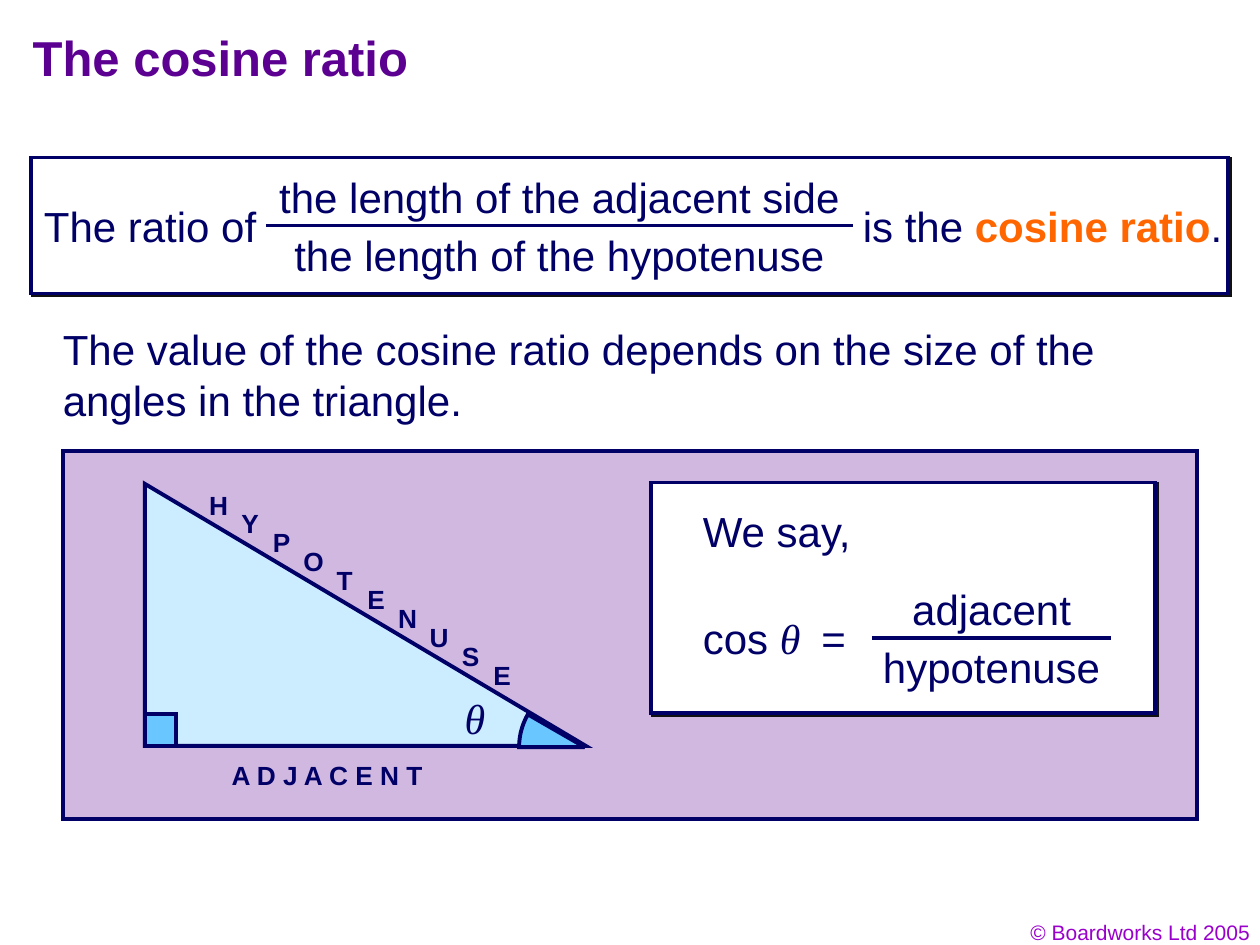
from math import cos, radians, sin

from lxml import etree
from pptx import Presentation
from pptx.dml.color import RGBColor
from pptx.enum.shapes import MSO_CONNECTOR, MSO_SHAPE
from pptx.enum.text import MSO_ANCHOR, PP_ALIGN
from pptx.oxml.ns import qn
from pptx.util import Inches, Pt

LEFT, CENTER, RIGHT = PP_ALIGN.LEFT, PP_ALIGN.CENTER, PP_ALIGN.RIGHT
MIDDLE = MSO_ANCHOR.MIDDLE
STRAIGHT = MSO_CONNECTOR.STRAIGHT
RECT, TRIANGLE = MSO_SHAPE.RECTANGLE, MSO_SHAPE.RIGHT_TRIANGLE
COLORS = {
    "title": "5B0091", "text": "010066", "line": "000066", "key": "FF6600",
    "credit": "9900CC", "white": "FFFFFF", "panel": "D0B8E0",
    "triangle": "CCECFF", "angle": "69C6FF", "shadow": "111111",
}
SERIF = "Times New Roman"

# Content
TITLE = "The cosine ratio"
CREDIT = "© Boardworks Ltd 2005"
RATIO_START = "The ratio of"
RATIO_END = [("is the ", {}), ("cosine ratio", {"color": "key", "bold": True}), (".", {})]
EXPLANATION = ("The value of the cosine ratio depends on the size of the "
               "angles in the triangle.")
THETA = {"font": SERIF, "italic": True}
FORMULA = [("cos ", {}), ("θ  ", THETA), ("=", {})]
# numerator, denominator, bar left, bar right, bar y
FRACTIONS = {
    "words": ("the length of the adjacent side", "the length of the hypotenuse",
              2.11, 6.77, 1.79),
    "formula": ("adjacent", "hypotenuse", 6.92, 8.82, 5.06),
}
HYPOTENUSE = "HYPOTENUSE"
FIRST_LETTER = (1.56, 3.83)
LETTER_STEP = (0.25, 0.15)

# Triangle geometry
TRI_LEFT, TRI_TOP, TRI_WIDTH, TRI_HEIGHT = 1.15, 3.84, 3.5, 2.08
CORNER = 0.25
APEX = (4.64, 5.93)
ARC_RADIUS, ARC_DEGREES = 0.52, 30

prs = Presentation()
prs.slide_width, prs.slide_height = Inches(10), Inches(7.5)
slide = prs.slides.add_slide(prs.slide_layouts[5])
shapes = slide.shapes


def rgb(name):
    return RGBColor.from_string(COLORS[name])


def style(font, size, color="text", bold=False, italic=False, name="Arial"):
    font.size, font.name = Pt(size), name
    font.bold, font.italic = bold, italic
    font.color.rgb = rgb(color)


def add_text(content, left, top, width, height=0.5, size=24, align=LEFT,
             color="text", bold=False):
    """Add a text box; content is a string or a list of (text, format) runs."""
    frame = shapes.add_textbox(*map(Inches, (left, top, width, height))).text_frame
    frame.word_wrap = True
    paragraph = frame.paragraphs[0]
    paragraph.alignment = align
    if isinstance(content, str):
        paragraph.text = content
        style(paragraph.font, size, color, bold)
        return
    for words, fmt in content:
        run = paragraph.add_run()
        run.text = words
        style(run.font, size, fmt.get("color", color), fmt.get("bold", bold),
              fmt.get("italic", False), fmt.get("font", "Arial"))


def draw_line(line):
    line.color.rgb = rgb("line")
    line.width = Pt(2.25)


def outline(shape, fill):
    shape.shadow.inherit = False
    shape.fill.solid()
    shape.fill.fore_color.rgb = rgb(fill)
    draw_line(shape.line)
    # Sharp corners
    etree.SubElement(shape._element.spPr.find(qn("a:ln")), qn("a:miter"), lim="800000")


def add_box(kind, left, top, width, height, fill, shadow=False):
    shape = shapes.add_shape(kind, *map(Inches, (left, top, width, height)))
    outline(shape, fill)
    if shadow:
        effects = shape._element.spPr.find(qn("a:effectLst"))
        outer = etree.SubElement(effects, qn("a:outerShdw"), dist=str(Pt(1.4)),
                                 dir="2700000", algn="ctr", rotWithShape="0")
        etree.SubElement(outer, qn("a:srgbClr"), val=COLORS["shadow"])


def add_fraction(numerator, denominator, left, right, y):
    """Centre both terms on the bar, in boxes a little wider than it."""
    box_left, box_width = left - 0.15, right - left + 0.3
    add_text(numerator, box_left, y - 0.48, box_width, align=CENTER)
    bar = shapes.add_connector(STRAIGHT, *map(Inches, (left, y, right, y)))
    draw_line(bar.line)
    etree.SubElement(bar._element.spPr, qn("a:effectLst"))
    add_text(denominator, box_left, y - 0.02, box_width, align=CENTER)


# Title and credit
title = shapes.title
title.left, title.top, title.width, title.height = map(Inches, (0.16, 0.12, 8.5, 0.67))
title.text_frame.text = TITLE
title.text_frame.vertical_anchor = MIDDLE
heading = title.text_frame.paragraphs[0]
heading.alignment = LEFT
style(heading.font, 28, "title", bold=True)
add_text(CREDIT, 7.69, 7.25, 2.33, 0.3, 12, RIGHT, color="credit")

# Definition in words
add_box(RECT, 0.25, 1.25, 9.5, 1.08, "white", shadow=True)
add_text(RATIO_START, 0.25, 1.54, 2.02)
add_fraction(*FRACTIONS["words"])
add_text(RATIO_END, 6.75, 1.54, 3.2)
add_text(EXPLANATION, 0.4, 2.52, 9.18, 0.9)

# Triangle with its angle marks
add_box(RECT, 0.5, 3.58, 9, 2.92, "panel")
add_box(TRIANGLE, TRI_LEFT, TRI_TOP, TRI_WIDTH, TRI_HEIGHT, "triangle")
arc = [(Inches(APEX[0] - ARC_RADIUS * cos(radians(a))),
        Inches(APEX[1] - ARC_RADIUS * sin(radians(a))))
       for a in range(0, ARC_DEGREES + 1, 2)]
sector = shapes.build_freeform(Inches(APEX[0]), Inches(APEX[1]))
sector.add_line_segments(arc, close=True)
outline(sector.convert_to_shape(), "angle")
add_text([("θ", THETA)], 3.52, 5.45, 0.5, align=CENTER)
add_box(RECT, TRI_LEFT, TRI_TOP + TRI_HEIGHT - CORNER, CORNER, CORNER, "angle")

# Formula
add_box(RECT, 5.17, 3.83, 4, 1.83, "white", shadow=True)
add_text("We say,", 5.48, 3.96, 1.6)
add_text(FORMULA, 5.48, 4.81, 1.6)
add_fraction(*FRACTIONS["formula"])

# Side labels
add_text("A D J A C E N T", 1.74, 5.98, 2, 0.35, 15, bold=True)
for i, letter in enumerate(HYPOTENUSE):
    x, y = (start + i * step for start, step in zip(FIRST_LETTER, LETTER_STEP))
    add_text(letter, x, y, 0.35, 0.35, 15, CENTER, bold=True)

prs.save("out.pptx")
